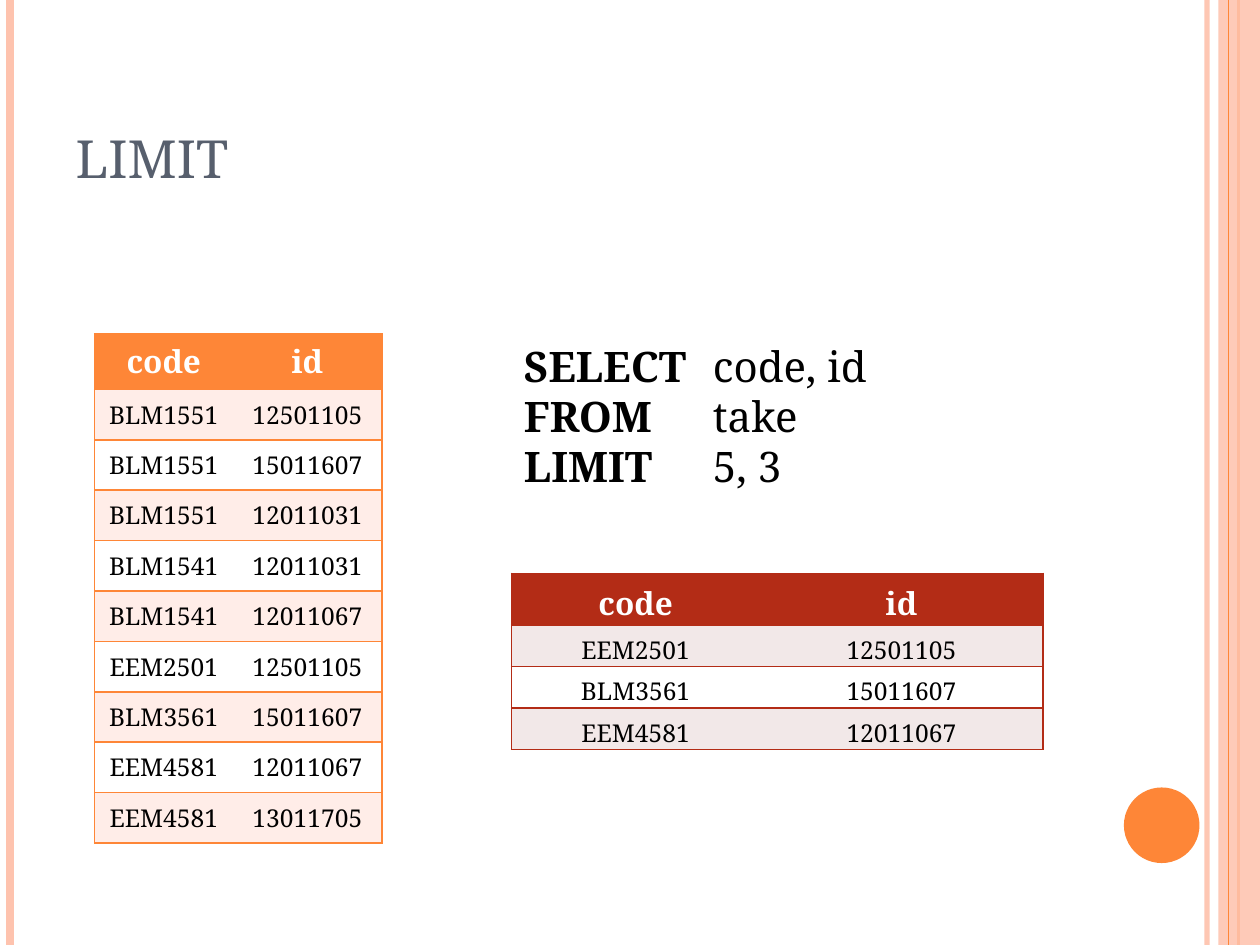
from dataclasses import dataclass

from lxml.etree import SubElement
from pptx import Presentation
from pptx.dml.color import RGBColor
from pptx.enum.shapes import MSO_CONNECTOR, MSO_SHAPE
from pptx.enum.text import MSO_ANCHOR, MSO_AUTO_SIZE, PP_ALIGN
from pptx.oxml.ns import qn
from pptx.util import Inches, Pt

FONT = "Noto Serif"
COLORS = {
    "orange": "FE8637", "peach": "FEC3AE", "blush": "FFEDE8",
    "red": "B32C16", "rose": "F2E8E8",
    "slate": "575F6D", "black": "000000", "white": "FFFFFF",
}


@dataclass
class Stripe:
    x: float
    color: str
    width: float
    opacity: int = 100


@dataclass
class DataTable:
    left: float
    top: float
    column_widths: list[float]
    header_height: float
    row_height: float
    accent: str
    band: str
    rows: list[tuple[str, str]]
    margin_top: float = 0.05
    margin_bottom: float = 0.05


def rgb(name: str) -> RGBColor:
    return RGBColor.from_string(COLORS[name])


def add_text(paragraph, text: str, *, size: float, color: str = "black",
             bold: bool = False, align=PP_ALIGN.LEFT) -> None:
    paragraph.alignment = align
    run = paragraph.add_run()
    run.text = text
    run.font.name = FONT
    run.font.size = Pt(size)
    run.font.bold = bold
    run.font.color.rgb = rgb(color)


def set_opacity(shape, percent: int) -> None:
    for color in shape._element.spPr.iter(qn("a:srgbClr")):
        SubElement(color, qn("a:alpha"), val=str(percent * 1000))


def add_stripe(slide, stripe: Stripe) -> None:
    line = slide.shapes.add_connector(
        MSO_CONNECTOR.STRAIGHT, Inches(stripe.x), 0, Inches(stripe.x), Inches(7.5))
    line.line.color.rgb = rgb(stripe.color)
    line.line.width = Pt(stripe.width)
    if stripe.opacity < 100:
        set_opacity(line, stripe.opacity)
    SubElement(line._element.spPr, qn("a:effectLst"))


def add_filled_shape(slide, kind, left: float, top: float, width: float,
                     height: float, color: str):
    shape = slide.shapes.add_shape(
        kind, Inches(left), Inches(top), Inches(width), Inches(height))
    shape.shadow.inherit = False
    shape.fill.solid()
    shape.fill.fore_color.rgb = rgb(color)
    shape.line.fill.background()
    return shape


def set_borders(cell, color: str, visible: str) -> None:
    properties = cell._tc.get_or_add_tcPr()
    for side in "LRTB":
        line = SubElement(properties, qn(f"a:ln{side}"), w=str(Pt(1)))
        if side in visible:
            fill = SubElement(line, qn("a:solidFill"))
            SubElement(fill, qn("a:srgbClr"), val=COLORS[color])
        else:
            SubElement(line, qn("a:noFill"))


def add_data_table(slide, data: DataTable) -> None:
    rows = [("code", "id"), *data.rows]
    heights = [data.header_height] + [data.row_height] * len(data.rows)
    table = slide.shapes.add_table(
        len(rows), len(data.column_widths), Inches(data.left), Inches(data.top),
        Inches(sum(data.column_widths)), Inches(sum(heights))).table
    for column, width in zip(table.columns, data.column_widths):
        column.width = Inches(width)
    for row_index, (values, height) in enumerate(zip(rows, heights)):
        table.rows[row_index].height = Inches(height)
        header = row_index == 0
        fill = data.accent if header else data.band if row_index % 2 else "white"
        for column_index, value in enumerate(values):
            cell = table.cell(row_index, column_index)
            cell.margin_top = Inches(data.margin_top)
            cell.margin_bottom = Inches(data.margin_bottom)
            cell.vertical_anchor = MSO_ANCHOR.MIDDLE
            set_borders(cell, data.accent, "RTB" if column_index else "LTB")
            cell.fill.solid()
            cell.fill.fore_color.rgb = rgb(fill)
            add_text(cell.text_frame.paragraphs[0], value,
                     size=18 if header else 14, bold=header,
                     color="white" if header else "black", align=PP_ALIGN.CENTER)


presentation = Presentation()
presentation.slide_width = Inches(10)
presentation.slide_height = Inches(7.5)
slide = presentation.slides.add_slide(presentation.slide_layouts[5])

# Side decoration; the translucent panel covers the wider orange stripe
for stripe in (Stripe(9.58, "peach", 3, 93), Stripe(0.08, "peach", 4.5),
               Stripe(9.83, "orange", 1.5)):
    add_stripe(slide, stripe)
panel = add_filled_shape(slide, MSO_SHAPE.RECTANGLE, 9.67, 0, 0.33, 7.5, "peach")
set_opacity(panel, 87)
add_stripe(slide, Stripe(9.75, "orange", 0.75))
add_filled_shape(slide, MSO_SHAPE.OVAL, 8.92, 6.25, 0.6, 0.6, "orange")

# Title
title = slide.shapes.title
title.left, title.top = Inches(0.5), Inches(0.3)
title.width, title.height = Inches(8.17), Inches(1.25)
title.text_frame.auto_size = MSO_AUTO_SIZE.NONE
title.text_frame.vertical_anchor = MSO_ANCHOR.BOTTOM
add_text(title.text_frame.paragraphs[0], "LIMIT", size=30, color="slate")

# Source table
taken_courses = [
    ("BLM1551", "12501105"), ("BLM1551", "15011607"), ("BLM1551", "12011031"),
    ("BLM1541", "12011031"), ("BLM1541", "12011067"), ("EEM2501", "12501105"),
    ("BLM3561", "15011607"), ("EEM4581", "12011067"), ("EEM4581", "13011705"),
]
add_data_table(slide, DataTable(0.75, 2.65, [1.1, 1.18], 0.44, 0.4,
                                "orange", "blush", taken_courses))

# Query
query = slide.shapes.add_textbox(Inches(4.06), Inches(2.65), Inches(5.04), Inches(1.31))
frame = query.text_frame
frame.word_wrap = True
clauses = [("SELECT", "code, id"), ("FROM", "take"), ("LIMIT", "5, 3")]
for index, (keyword, value) in enumerate(clauses):
    paragraph = frame.add_paragraph() if index else frame.paragraphs[0]
    add_text(paragraph, f"{keyword}\t", size=24, bold=True)
    add_text(paragraph, value, size=24)

# Result: three rows after skipping five
add_data_table(slide, DataTable(4.06, 4.55, [1.97, 2.25], 0.41, 0.33,
                                "red", "rose", taken_courses[5:8],
                                margin_top=0.06, margin_bottom=0))

presentation.save("out.pptx")
